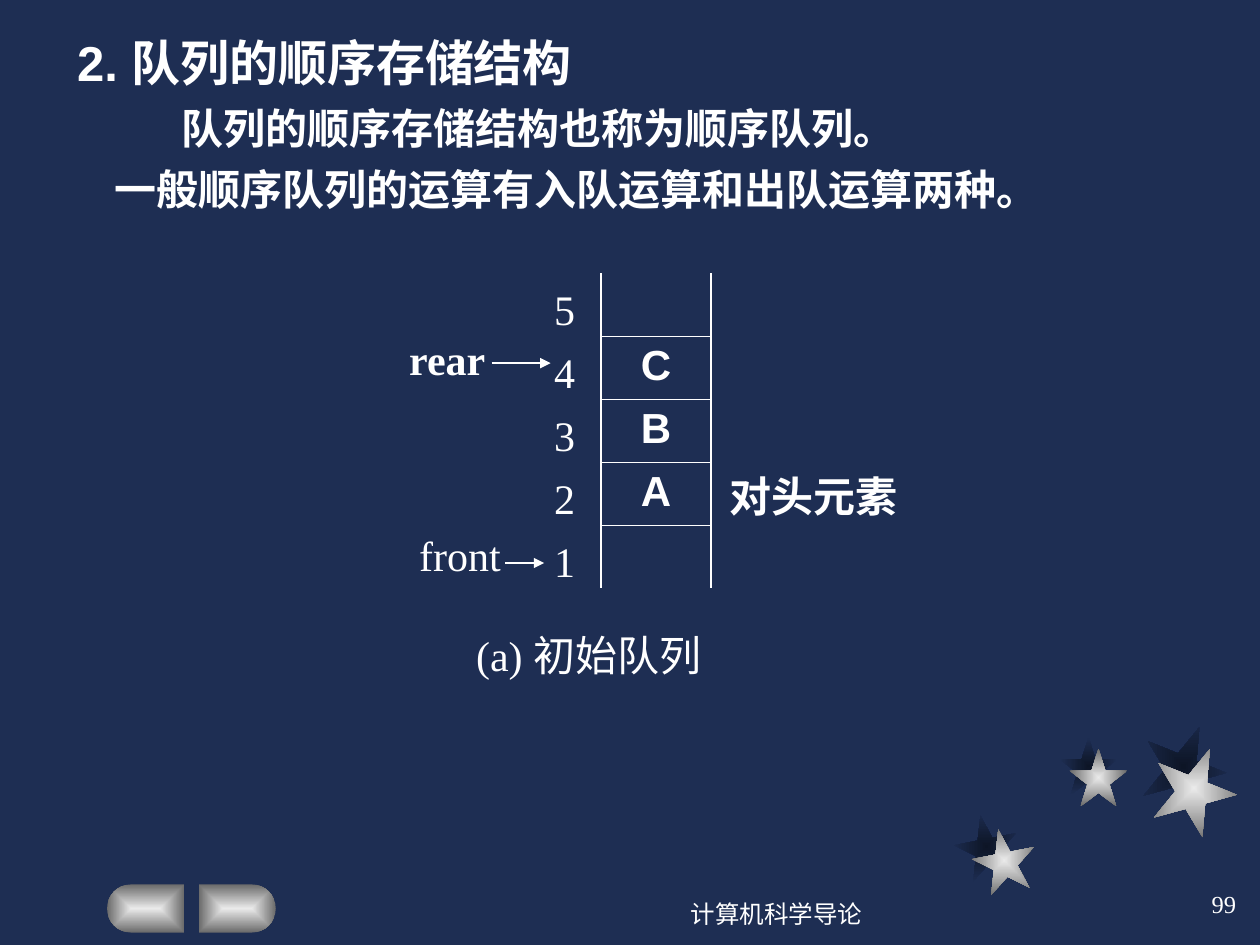
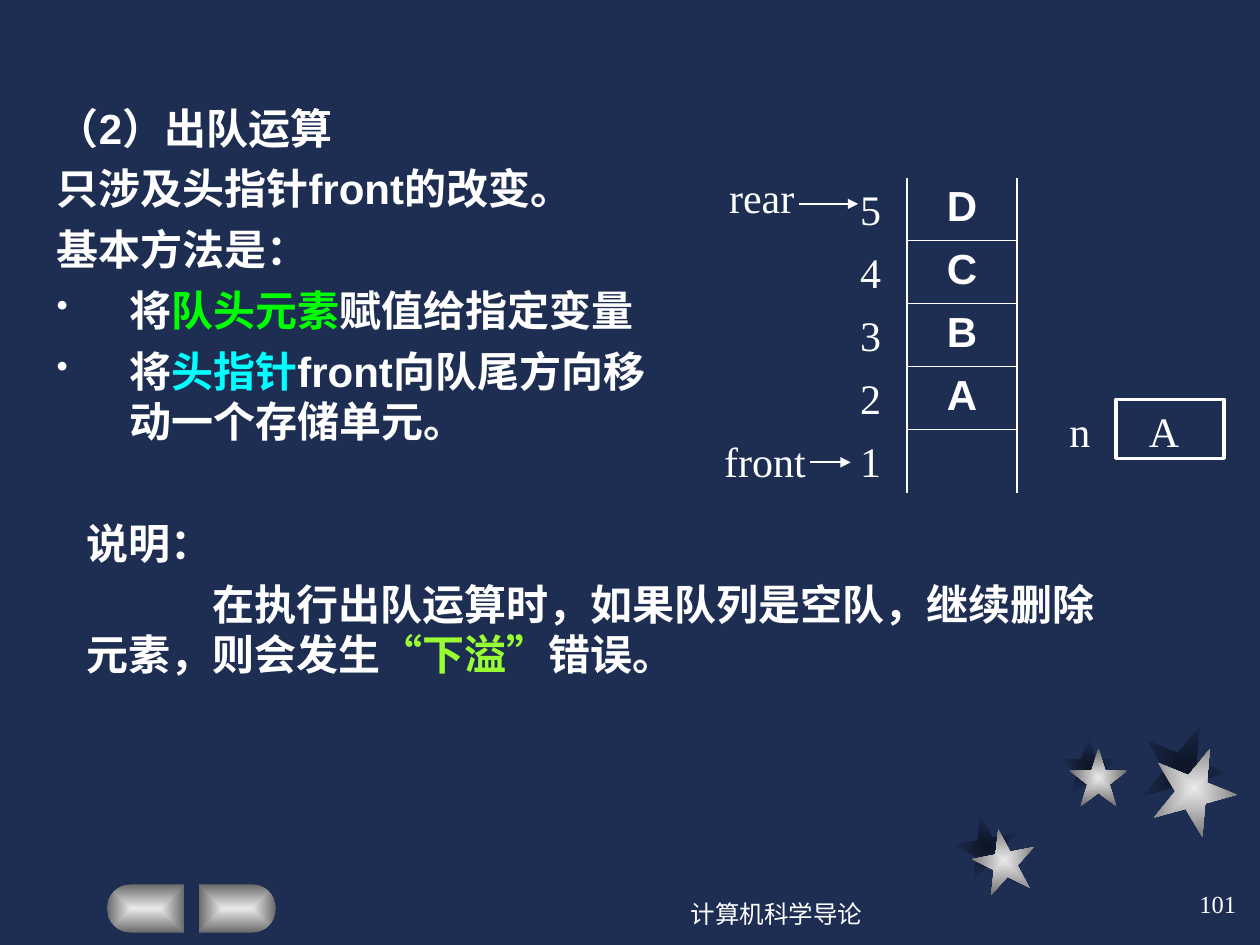
from dataclasses import dataclass
from math import cos, pi, sin

from pptx import Presentation
from pptx.dml.color import RGBColor
from pptx.enum.shapes import MSO_CONNECTOR, MSO_SHAPE
from pptx.enum.text import MSO_ANCHOR, MSO_AUTO_SIZE, PP_ALIGN
from pptx.oxml import parse_xml
from pptx.oxml.ns import nsdecls, qn
from pptx.util import Cm, Pt

LEFT, CENTER, RIGHT = PP_ALIGN.LEFT, PP_ALIGN.CENTER, PP_ALIGN.RIGHT
TOP, MIDDLE = MSO_ANCHOR.TOP, MSO_ANCHOR.MIDDLE
STAR, RECT = MSO_SHAPE.STAR_5_POINT, MSO_SHAPE.RECTANGLE
STRAIGHT = MSO_CONNECTOR.STRAIGHT
NO_FIT = MSO_AUTO_SIZE.NONE
TITLE_ONLY = 5


@dataclass(frozen=True)
class Theme:
    back: str = "1E2E53"
    ink: str = "FFFFFF"
    green: str = "00FF00"
    cyan: str = "00FFFF"
    lime: str = "99FF33"
    silver: tuple = ("EAEAEA", "6B6B6B")
    shade: tuple = ("0D1526", "1E2E53")
    sans: str = "Arial"
    serif: str = "Times New Roman"
    heading: int = 28
    body: int = 24
    small: int = 14
    para_gap: int = 6
    side_line: float = 1.08
    row_line: float = 0.45


T = Theme()
SANS_BOLD = {"name": T.sans, "size": Pt(T.body), "bold": True}
SERIF = {"name": T.serif, "size": Pt(T.body), "bold": False}
SERIF_BOLD = {**SERIF, "bold": True}
HEADING = {**SANS_BOLD, "size": Pt(T.heading)}
SMALL = {**SERIF, "size": Pt(T.small)}

FOOTER = "计算机科学导论"
FOOTER_AT = (11.63, 17.78, 8.05, 1.27)
NUMBER_AT = (19.89, 17.58, 5.28, 1.27)
STARS = [
    (T.shade, 19.25, 16.43, 1.27, 349),
    (T.shade, 21.36, 14.86, 1.17, 0),
    (T.shade, 23.01, 14.6, 1.7, 22),
    (T.silver, 19.61, 16.71, 1.27, 349),
    (T.silver, 21.56, 15.09, 1.17, 0),
    (T.silver, 23.22, 15.04, 1.7, 22),
]
BUTTONS = [(3.71, -1), (4.01, 1)]
BUTTON_TOP, BUTTON_W, BUTTON_H = 17.83, 1.55, 0.97
CELL_W, CELL_H = 2.21, 1.27
INDEXES = ["5", "4", "3", "2", "1"]

SLIDES = [
    {
        "number": "99",
        "title": ("2. 队列的顺序存储结构", (1.3, 0.53, 21.59, 1.3), HEADING),
        "texts": [
            ((1.3, 1.95, 21.59, 2.8), SANS_BOLD, [
                {"runs": ["队列的顺序存储结构也称为顺序队列。"], "first": 2.11},
                {"runs": ["一般顺序队列的运算有入队运算和出队运算两种。"], "first": 0.76},
            ]),
            ((14.45, 9.37, 3.99, 1.27), SERIF_BOLD, [{"runs": ["对头元素"]}]),
        ],
        "labels": [
            ("front", 8.2, 10.54, 2.16, SERIF),
            ("rear", 8, 6.6, 2.39, SERIF_BOLD),
            ("(a) 初始队列", 9.35, 12.57, 5.23, SERIF),
        ],
        "arrows": [(10.19, 10.97, 11.35), (9.91, 11.1, 7.32)],
        "queue": (["", "C", "B", "A", ""], 12.12, 5.51),
        "index_at": (10.92, 5.33, 0.91, 6.6),
    },
    {
        "number": "101",
        "title": ("（2）出队运算", (0.89, 1.93, 12.8, 1.2), SANS_BOLD),
        "texts": [
            ((0.89, 3.15, 12.8, 7.19), SANS_BOLD, [
                {"runs": ["只涉及头指针front的改变。"]},
                {"runs": ["基本方法是："]},
                {"runs": ["将", ("队头元素", T.green), "赋值给指定变量"], "bullet": 1.47},
                {"runs": ["将", ("头指针", T.cyan), "front向队尾方向移动一个存储单元。"],
                 "bullet": 1.47},
            ]),
            ((1.5, 10.31, 21, 3.53), SERIF_BOLD, [
                {"runs": ["说明："]},
                {"runs": ["在执行出队运算时，如果队列是空队，继续删除元素，则会发生",
                          ("“下溢”", T.lime), "错误。"], "first": 2.54},
            ]),
        ],
        "labels": [
            ("rear", 14.45, 3.33, 1.83, SERIF),
            ("front", 14.35, 8.66, 2.16, SERIF),
            ("n", 21.31, 8.05, 0.99, SERIF),
        ],
        "arrows": [(16.33, 17.15, 9.32), (16.1, 17.3, 4.11)],
        "queue": (["D", "C", "B", "A", ""], 18.29, 3.58),
        "index_at": (17.09, 3.33, 0.91, 6.6),
        "variable": ("A", (22.5, 8.05, 2.18, 1.19)),
    },
]


def rgb(value):
    return RGBColor.from_string(value)


def apply(target, values):
    for key, value in values.items():
        setattr(target, key, value)


def add_run(p, text, font, color=T.ink):
    r = p.add_run()
    r.text = text
    apply(r.font, font)
    r.font.color.rgb = rgb(color)


def set_bullet(p, indent):
    pPr = p._p.get_or_add_pPr()
    pPr.set("marL", str(Cm(indent)))
    pPr.set("indent", str(-Cm(indent)))
    for xml in (f'<a:buClr {nsdecls("a")}><a:srgbClr val="{T.ink}"/></a:buClr>',
                f'<a:buSzPct {nsdecls("a")} val="80000"/>',
                f'<a:buChar {nsdecls("a")} char="•"/>'):
        pPr.append(parse_xml(xml))


def fill_text(tf, paragraphs, font, align=LEFT, spacing=None, gap=0, **frame):
    apply(tf, {"word_wrap": True, "auto_size": NO_FIT, "vertical_anchor": TOP, **frame})
    for i, item in enumerate(paragraphs):
        p = tf.add_paragraph() if i else tf.paragraphs[0]
        if "bullet" in item:
            set_bullet(p, item["bullet"])
        if "first" in item:
            p._p.get_or_add_pPr().set("indent", str(Cm(item["first"])))
        apply(p, {"alignment": align, "line_spacing": spacing,
                  "space_before": Pt(gap if i else 0)})
        for part in item["runs"]:
            add_run(p, part[0], font, part[1]) if isinstance(part, tuple) else add_run(p, part, font)


def add_text(s, at, paragraphs, font, **options):
    fill_text(s.shapes.add_textbox(*map(Cm, at)).text_frame, paragraphs, font, **options)


def set_gradient(shape, colors):
    shape.shadow.inherit = False
    shape.line.fill.background()
    shape.fill.background()
    stops = "".join(f'<a:gs pos="{pos}"><a:srgbClr val="{c}"/></a:gs>'
                    for pos, c in zip((0, 100000), colors))
    spPr = shape.element.spPr
    spPr.replace(spPr.find(qn("a:noFill")), parse_xml(
        f'<a:gradFill {nsdecls("a")} rotWithShape="0"><a:gsLst>{stops}</a:gsLst>'
        '<a:path path="rect"><a:fillToRect l="50000" t="50000" r="50000" b="50000"/>'
        '</a:path></a:gradFill>'))


def add_button(s, flat_x, side):
    radius = BUTTON_H / 2
    center_x = flat_x + side * (BUTTON_W - radius)
    angles = [-pi / 2 + pi * i / 16 for i in range(17)]
    arc = [(Cm(center_x + side * radius * cos(a)),
            Cm(BUTTON_TOP + radius + radius * sin(a))) for a in angles]
    outline = s.shapes.build_freeform(Cm(flat_x), Cm(BUTTON_TOP), 1.0)
    outline.add_line_segments(arc + [(Cm(flat_x), Cm(BUTTON_TOP + BUTTON_H))], close=True)
    shape = outline.convert_to_shape()
    set_gradient(shape, T.silver)
    return shape


def add_star(s, colors, x, y, size, rotation):
    shape = s.shapes.add_shape(STAR, Cm(x), Cm(y), Cm(size), Cm(size))
    shape.rotation = rotation
    set_gradient(shape, colors)
    return shape


def decorate_master(prs, s):
    master = prs.slide_master
    fill = master.background.fill
    fill.solid()
    fill.fore_color.rgb = rgb(T.back)
    parts = [add_star(s, *star) for star in STARS] + [add_button(s, *b) for b in BUTTONS]
    for i, shape in enumerate(parts):
        shape.element.xpath("./p:nvSpPr/p:cNvPr")[0].set("id", str(100 + i))
        master.shapes.element.append(shape.element)


def set_borders(cell, widths):
    tcPr = cell._tc.get_or_add_tcPr()
    for i, (side, width) in enumerate(widths.items()):
        paint = f'<a:solidFill><a:srgbClr val="{T.ink}"/></a:solidFill>' if width else "<a:noFill/>"
        tcPr.insert(i, parse_xml(
            f'<a:ln{side} {nsdecls("a")} w="{Pt(width)}">{paint}</a:ln{side}>'))


def add_queue(s, items, x, y):
    last = len(items) - 1
    table = s.shapes.add_table(len(items), 1, Cm(x), Cm(y), Cm(CELL_W),
                               Cm(CELL_H * len(items))).table
    apply(table, {"first_row": False, "horz_banding": False})
    for i, item in enumerate(items):
        cell = table.cell(i, 0)
        cell.fill.background()
        set_borders(cell, {"L": T.side_line, "R": T.side_line,
                           "T": T.row_line if i else 0,
                           "B": T.row_line if i < last else 0})
        if item:
            p = cell.text_frame.paragraphs[0]
            p.alignment = CENTER
            add_run(p, item, SANS_BOLD)


def add_arrow(s, x1, x2, y):
    cn = s.shapes.add_connector(STRAIGHT, Cm(x1), Cm(y), Cm(x2), Cm(y))
    cn.line.color.rgb = rgb(T.ink)
    cn.line.width = Pt(1)
    spPr = cn.element.spPr
    spPr.find(qn("a:ln")).append(parse_xml(f'<a:tailEnd {nsdecls("a")} type="triangle"/>'))
    spPr.append(parse_xml(f'<a:effectLst {nsdecls("a")}/>'))


def add_variable(s, value, at):
    shape = s.shapes.add_shape(RECT, *map(Cm, at))
    shape.shadow.inherit = False
    shape.fill.background()
    shape.line.color.rgb = rgb(T.ink)
    shape.line.width = Pt(2)
    fill_text(shape.text_frame, [{"runs": [value]}], SERIF,
              margin_left=Cm(0.66), margin_bottom=0)


def set_title(s, text, at, font):
    title = s.shapes.title
    apply(title, dict(zip(("left", "top", "width", "height"), map(Cm, at))))
    fill_text(title.text_frame, [{"runs": [text]}], font)


def build_slide(s, data):
    set_title(s, *data["title"])
    for at, font, paragraphs in data["texts"]:
        add_text(s, at, paragraphs, font, gap=T.para_gap)
    add_queue(s, *data["queue"])
    for text, x, y, width, font in data["labels"]:
        add_text(s, (x, y, width, 1.27), [{"runs": [text]}], font, word_wrap=False)
    for arrow in data["arrows"]:
        add_arrow(s, *arrow)
    add_text(s, data["index_at"], [{"runs": [n]} for n in INDEXES], SERIF,
             spacing=1.25, word_wrap=False)
    if "variable" in data:
        add_variable(s, *data["variable"])
    for at, text, align in ((FOOTER_AT, FOOTER, CENTER), (NUMBER_AT, data["number"], RIGHT)):
        add_text(s, at, [{"runs": [text]}], SMALL, align=align, vertical_anchor=MIDDLE)


def main():
    prs = Presentation()
    prs.slide_width, prs.slide_height = Cm(25.4), Cm(19.05)
    slides = [prs.slides.add_slide(prs.slide_layouts[TITLE_ONLY]) for _ in SLIDES]
    decorate_master(prs, slides[0])
    for s, data in zip(slides, SLIDES):
        build_slide(s, data)
    prs.save("out.pptx")


if __name__ == "__main__":
    main()
